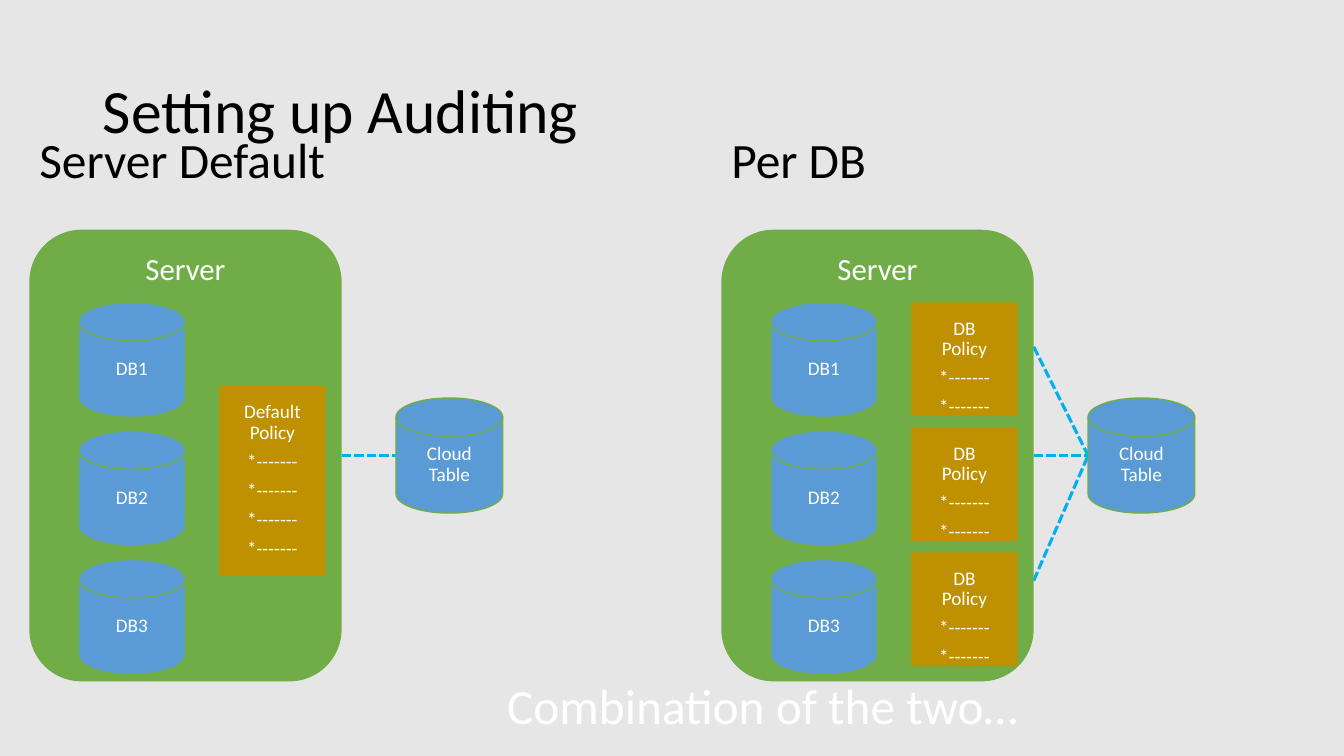
from lxml.etree import SubElement
from pptx import Presentation
from pptx.dml.color import RGBColor
from pptx.enum.dml import MSO_LINE
from pptx.enum.shapes import MSO_CONNECTOR, MSO_SHAPE
from pptx.enum.text import MSO_ANCHOR, PP_ALIGN
from pptx.oxml.ns import qn
from pptx.util import Cm, Pt

GRAY = RGBColor(0xE7, 0xE6, 0xE6)
GREEN = RGBColor(0x70, 0xAD, 0x47)
BLUE = RGBColor(0x5B, 0x9B, 0xD5)
GOLD = RGBColor(0xBF, 0x90, 0x00)
CYAN = RGBColor(0x00, 0xB0, 0xF0)
BLACK = RGBColor(0, 0, 0)
WHITE = RGBColor(0xFF, 0xFF, 0xFF)

WIDE = 2.69
MID = 11.48
RULE = "*-------"


class Board:
    font = "Calibri"
    small = 13.7
    large = 35.3

    def __init__(self, slide):
        self.slide = slide
        fill = slide.background.fill
        fill.solid()
        fill.fore_color.rgb = GRAY

    def label(self, shape, lines, size, color, align=PP_ALIGN.CENTER,
              anchor=MSO_ANCHOR.TOP, pad=(0.25, 0.13), lead=0.9, after=0):
        frame = shape.text_frame
        frame.word_wrap = True
        frame.vertical_anchor = anchor
        frame.margin_left = frame.margin_right = Cm(pad[0])
        frame.margin_top = frame.margin_bottom = Cm(pad[1])
        for i, line in enumerate(lines):
            para = frame.add_paragraph() if i else frame.paragraphs[0]
            para.alignment = align
            para.line_spacing = lead
            para.space_before = Pt(0)
            para.space_after = Pt(after)
            run = para.add_run()
            run.text = line
            font = run.font
            font.name = self.font
            font.size = Pt(size)
            font.bold = False
            font.color.rgb = color

    def head(self, index, text, box, size, anchor):
        shape = self.slide.placeholders[index]
        shape.left, shape.top, shape.width, shape.height = map(Cm, box)
        self.label(shape, [text], size, BLACK, PP_ALIGN.LEFT, anchor)

    def note(self, text, box):
        shape = self.slide.shapes.add_textbox(*map(Cm, box))
        self.label(shape, [text], self.large, WHITE, PP_ALIGN.LEFT,
                   pad=(0.41, 0.25))

    def block(self, kind, box, color, edge=None):
        shape = self.slide.shapes.add_shape(kind, *map(Cm, box))
        shape.shadow.inherit = False
        shape.fill.solid()
        shape.fill.fore_color.rgb = color
        if edge:
            shape.line.color.rgb = edge
            shape.line.width = Pt(1)
        else:
            shape.line.fill.background()
        return shape

    def server(self, left):
        shape = self.block(MSO_SHAPE.ROUNDED_RECTANGLE,
                           (left, 5.79, 7.87, 11.38), GREEN)
        self.label(shape, ["Server"], 22, WHITE, lead=1.0)

    def disk(self, text, left, top):
        shape = self.block(MSO_SHAPE.FLOWCHART_MAGNETIC_DISK,
                           (left, top, WIDE, 2.9), BLUE, GREEN)
        self.label(shape, [text], self.small, WHITE,
                   anchor=MSO_ANCHOR.MIDDLE, pad=(0.51, 0.41))

    def policy(self, name, rules, left, top, high):
        shape = self.block(MSO_SHAPE.RECTANGLE, (left, top, WIDE, high), GOLD)
        self.label(shape, [name] + [RULE] * rules, self.small, WHITE,
                   pad=(0.51, 0.41), after=5.9)

    def link(self, left, top):
        line = self.slide.shapes.add_connector(
            MSO_CONNECTOR.STRAIGHT, Cm(left + 7.87), Cm(top),
            Cm(left + 9.24), Cm(MID))
        line.line.color.rgb = CYAN
        line.line.width = Pt(2.25)
        line.line.dash_style = MSO_LINE.SQUARE_DOT
        SubElement(line._element.spPr, qn("a:effectLst"))

    def panel(self, index, title, left, starts):
        self.head(index, title, (left, 3.3, 14.94, 1.63), self.large,
                  MSO_ANCHOR.TOP)
        for top in starts:
            self.link(left, top)
        self.server(left)
        for i in range(3):
            self.disk(f"DB{i + 1}", left + 1.24, 7.62 + 3.24 * i)
        self.disk("Cloud Table", left + 9.24, 10.03)


def main():
    deck = Presentation()
    deck.slide_width, deck.slide_height = Cm(33.87), Cm(19.05)
    slide = deck.slides.add_slide(deck.slide_layouts[4])
    for index in (2, 4):
        spare = slide.placeholders[index]._element
        spare.getparent().remove(spare)

    board = Board(slide)
    board.head(0, "Setting up Auditing", (2.34, 1.02, 29.21, 3.68), 44,
               MSO_ANCHOR.MIDDLE)
    near, far = 0.74, 18.18
    board.panel(1, "Server Default", near, [MID])
    board.policy("Default Policy", 4, near + 4.78, 9.73, 4.78)
    board.panel(3, "Per DB", far, [8.74, MID, 14.63])
    for i in range(3):
        board.policy("DB Policy", 2, far + 4.78, 7.62 + 3.15 * i, 2.87)
    board.note("Combination of the two…", (12.37, 16.92, 14.94, 1.85))
    deck.save("out.pptx")


if __name__ == "__main__":
    main()
